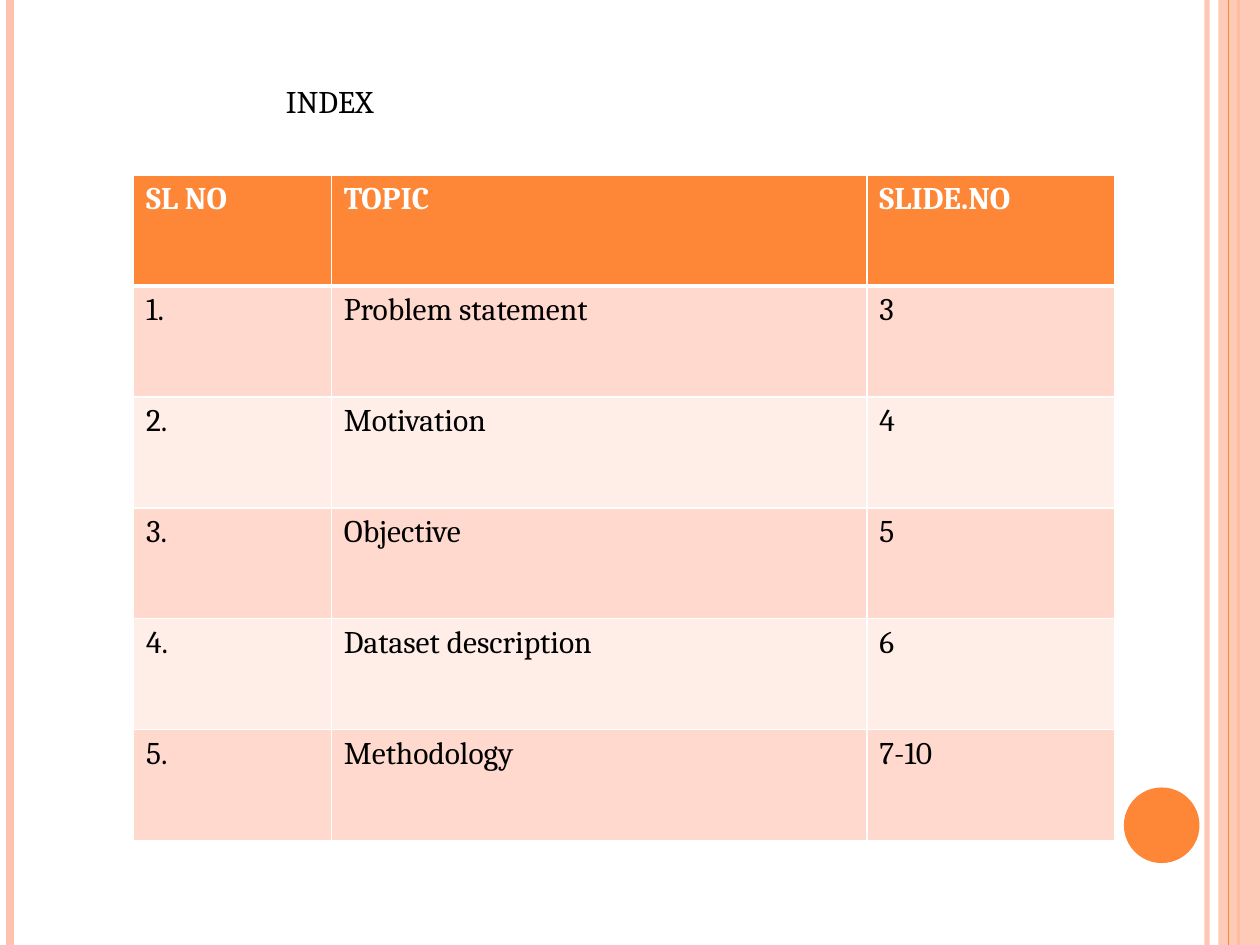
"""Build the index slide: a table of topics beside a striped right edge."""
from lxml.etree import SubElement
from pptx import Presentation
from pptx.dml.color import RGBColor
from pptx.enum.shapes import MSO_CONNECTOR, MSO_SHAPE as SHAPE
from pptx.oxml.ns import qn
from pptx.util import Inches, Pt

COLORS = {"orange": "FE8637", "peach": "FEC3AE", "band": "FFD9CE",
          "pale": "FFEDE8", "white": "FFFFFF", "black": "000000"}
FONT = "Cambria"
WIDTH, HEIGHT = 10, 7.5
TITLE = "INDEX"
ROWS = [
    ("SL NO", "TOPIC", "SLIDE.NO"),
    ("1.", "Problem statement", "3"),
    ("2.", "Motivation", "4"),
    ("3.", "Objective", "5"),
    ("4.", "Dataset description", "6"),
    ("5.", "Methodology", "7-10"),
]
COL_WIDTHS = (1.57, 4.25, 1.97)
ROW_HEIGHT = 0.88
BACK_STRIPES = [(9.58, "peach", 3, 93), (0.08, "peach", 4.5, 100),
                (9.83, "orange", 1.5, 100)]
FRONT_STRIPE = (9.75, "orange", 0.75, 100)


def rgb(name):
    return RGBColor.from_string(COLORS[name])


def set_alpha(fill_parent, percent):
    if percent < 100:
        clr = next(fill_parent.iter(qn("a:srgbClr")))
        SubElement(clr, qn("a:alpha")).set("val", str(percent * 1000))


def add_stripe(slide, x, color, width, alpha):
    line = slide.shapes.add_connector(
        MSO_CONNECTOR.STRAIGHT, Inches(x), 0, Inches(x), Inches(HEIGHT))
    line.line.color.rgb = rgb(color)
    line.line.width = Pt(width)
    sp_pr = line._element.spPr
    set_alpha(sp_pr, alpha)
    SubElement(sp_pr, qn("a:effectLst"))


def add_block(slide, kind, box, color, alpha=100):
    sp = slide.shapes.add_shape(kind, *map(Inches, box))
    sp.shadow.inherit = False
    sp.fill.solid()
    sp.fill.fore_color.rgb = rgb(color)
    sp.line.fill.background()
    set_alpha(sp._element.spPr, alpha)


def write(tf, text, size=18, color="black", bold=False):
    r = tf.paragraphs[0].add_run()
    r.text = text
    r.font.name = FONT
    r.font.size = Pt(size)
    r.font.bold = bold
    r.font.color.rgb = rgb(color)


def set_borders(cell, top, bottom):
    tc_pr = cell._tc.get_or_add_tcPr()
    for side, width in (("L", 1), ("R", 1), ("T", top), ("B", bottom)):
        ln = SubElement(tc_pr, qn(f"a:ln{side}"), w=str(Pt(width)))
        fill = SubElement(ln, qn("a:solidFill"))
        SubElement(fill, qn("a:srgbClr"), val=COLORS["white"])


def add_index(slide):
    frame = slide.shapes.add_table(
        len(ROWS), len(COL_WIDTHS), Inches(1.06), Inches(1.39),
        Inches(sum(COL_WIDTHS)), Inches(ROW_HEIGHT * len(ROWS)))
    table = frame.table
    for col, width in zip(table.columns, COL_WIDTHS):
        col.width = Inches(width)
    for i, row in enumerate(ROWS):
        table.rows[i].height = Inches(ROW_HEIGHT)
        header = i == 0
        fill = "orange" if header else "band" if i % 2 else "pale"
        for j, text in enumerate(row):
            cell = table.cell(i, j)
            set_borders(cell, 3 if i == 1 else 1, 3 if header else 1)
            cell.fill.solid()
            cell.fill.fore_color.rgb = rgb(fill)
            write(cell.text_frame, text, bold=header,
                  color="white" if header else "black")


def main():
    prs = Presentation()
    prs.slide_width, prs.slide_height = Inches(WIDTH), Inches(HEIGHT)
    s = prs.slides.add_slide(prs.slide_layouts[6])
    for stripe in BACK_STRIPES:
        add_stripe(s, *stripe)
    add_block(s, SHAPE.RECTANGLE, (9.67, 0, 0.33, HEIGHT), "peach", 87)
    add_stripe(s, *FRONT_STRIPE)
    add_block(s, SHAPE.OVAL, (8.92, 6.25, 0.6, 0.6), "orange")
    add_index(s)
    box = s.shapes.add_textbox(*map(Inches, (2.17, 0.6, 4.02, 0.4)))
    box.text_frame.word_wrap = True
    write(box.text_frame, TITLE)
    prs.save("out.pptx")


if __name__ == "__main__":
    main()
